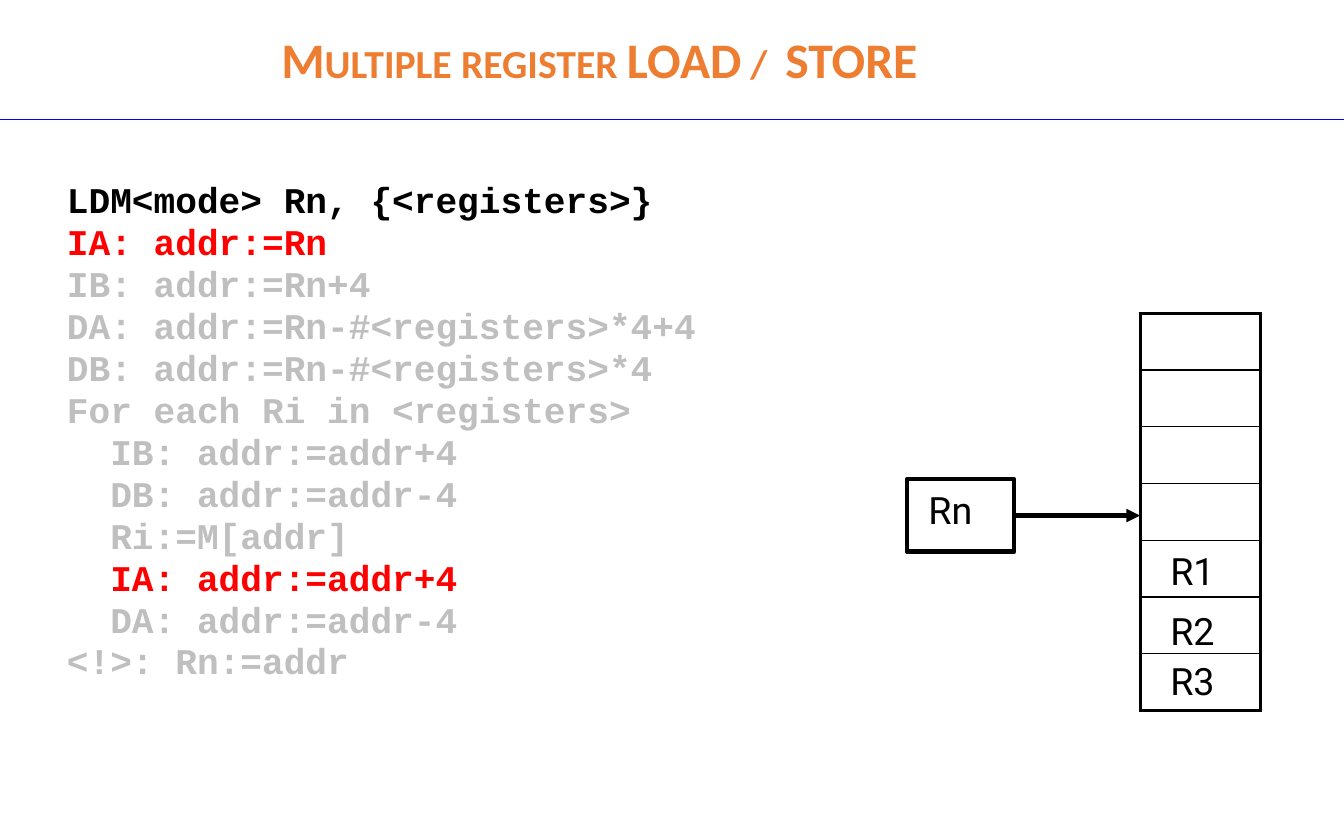
from lxml import etree
from pptx import Presentation, util as u
from pptx.dml.color import RGBColor
from pptx.enum import shapes, text
from pptx.oxml.ns import qn

Cm, Pt = u.Cm, u.Pt
COLORS = {"black": "000000", "red": "FF0000", "gray": "BFBFBF",
          "blue": "0000FF", "orange": "ED7D31"}
CODE = [
    ("LDM<mode> Rn, {<registers>}", "black"),
    ("IA: addr:=Rn", "red"),
    ("IB: addr:=Rn+4", "gray"),
    ("DA: addr:=Rn-#<registers>*4+4", "gray"),
    ("DB: addr:=Rn-#<registers>*4", "gray"),
    ("For each Ri in <registers>", "gray"),
    ("  IB: addr:=addr+4", "gray"),
    ("  DB: addr:=addr-4", "gray"),
    ("  Ri:=M[addr]", "gray"),
    ("  IA: addr:=addr+4", "red"),
    ("  DA: addr:=addr-4", "gray"),
    ("<!>: Rn:=addr", "gray"),
]
MEMORY_ROWS = 7
LABELS = [("Rn", 21.46, 11.25), ("R1", 27.13, 12.7),
          ("R2", 27.13, 14.1), ("R3", 27.13, 15.27)]


def rgb(name):
    return RGBColor.from_string(COLORS[name])


def add_text(s, content, x, y, w, h, wrap=True):
    sp = s.shapes.add_textbox(Cm(x), Cm(y), Cm(w), Cm(h))
    tf = sp.text_frame
    tf.word_wrap = wrap
    tf.text = content
    return tf


def style_run(p, font, size, color, bold=False):
    r = p.runs[0]
    r.font.name, r.font.size, r.font.bold = font, Pt(size), bold
    r.font.color.rgb = rgb(color)
    return r


def add_title(s, content):
    tf = add_text(s, content, 0, 0.53, 28.1, 1.7)
    tf.vertical_anchor = text.MSO_ANCHOR.MIDDLE
    p = tf.paragraphs[0]
    p.alignment = text.PP_ALIGN.CENTER
    r = style_run(p, "Calibri", 33, "orange", True)
    r.font._element.set("cap", "small")


def add_code(s, lines):
    tf = add_text(s, "\n".join(line for line, _ in lines), 1.32, 4.24, 28.35, 13.54)
    for i, (p, (_, color)) in enumerate(zip(tf.paragraphs, lines)):
        pPr = p._p.get_or_add_pPr()
        pPr.set("marL", str(Cm(0.97)))
        pPr.set("indent", str(-Cm(0.97)))
        p.line_spacing = 0.8
        if i:
            p.space_before = Pt(4.8)
        style_run(p, "Courier New", 24, color, True)


def add_label(s, content, x, y):
    tf = add_text(s, content, x, y, 2.1, 1.4)
    tf.margin_left = tf.margin_right = Cm(0.3)
    tf.margin_top = tf.margin_bottom = Cm(0.15)
    style_run(tf.paragraphs[0], "Roboto", 25, "black")


def add_line(s, x1, y1, x2, y2, color, width, arrow=False):
    c = s.shapes.add_connector(shapes.MSO_CONNECTOR.STRAIGHT,
                               Cm(x1), Cm(y1), Cm(x2), Cm(y2))
    c.line.color.rgb = rgb(color)
    c.line.width = Pt(width)
    if arrow:
        etree.SubElement(c.line._get_or_add_ln(), qn("a:tailEnd"), type="triangle")
    etree.SubElement(c._element.spPr, qn("a:effectLst"))
    return c


def add_box(s, x, y, w, h):
    sp = s.shapes.add_shape(shapes.MSO_SHAPE.RECTANGLE, Cm(x), Cm(y), Cm(w), Cm(h))
    sp.shadow.inherit = False
    sp.fill.background()
    sp.line.color.rgb = rgb("black")
    sp.line.width = Pt(3)
    return sp


def set_border(cell, side, width):
    ln = etree.SubElement(cell._tc.get_or_add_tcPr(), qn("a:ln" + side), w=str(Pt(width)))
    fill = etree.SubElement(ln, qn("a:solidFill"))
    etree.SubElement(fill, qn("a:srgbClr"), val=COLORS["black"])


def add_memory(s, x, y, w, row_h):
    table = s.shapes.add_table(MEMORY_ROWS, 1, Cm(x), Cm(y), Cm(w),
                               Cm(row_h * MEMORY_ROWS)).table
    table.first_row = table.horz_banding = False
    for i, row in enumerate(table.rows):
        row.height = Cm(row_h)
        cell = row.cells[0]
        set_border(cell, "L", 2.25)
        set_border(cell, "R", 2.25)
        set_border(cell, "T", 2.25 if i == 0 else 1)
        set_border(cell, "B", 2.25 if i == MEMORY_ROWS - 1 else 1)
        cell.fill.background()


def main():
    prs = Presentation()
    prs.slide_width, prs.slide_height = Cm(31.5), Cm(19.05)
    s = prs.slides.add_slide(prs.slide_layouts[6])

    # Heading and rule
    add_title(s, "Multiple register LOAD /  STORE")
    add_line(s, 0, 2.79, 31.5, 2.79, "blue", 0.75)

    # Pseudocode
    add_code(s, CODE)

    # Memory column with the base register pointing into it
    add_memory(s, 26.72, 7.34, 2.82, 1.33)
    base = add_box(s, 21.26, 11.23, 2.51, 1.7)
    arrow = add_line(s, 23.77, 12.08, 26.72, 12.08, "black", 3, arrow=True)
    arrow.begin_connect(base, 3)
    for label in LABELS:
        add_label(s, *label)

    prs.save("out.pptx")


if __name__ == "__main__":
    main()
